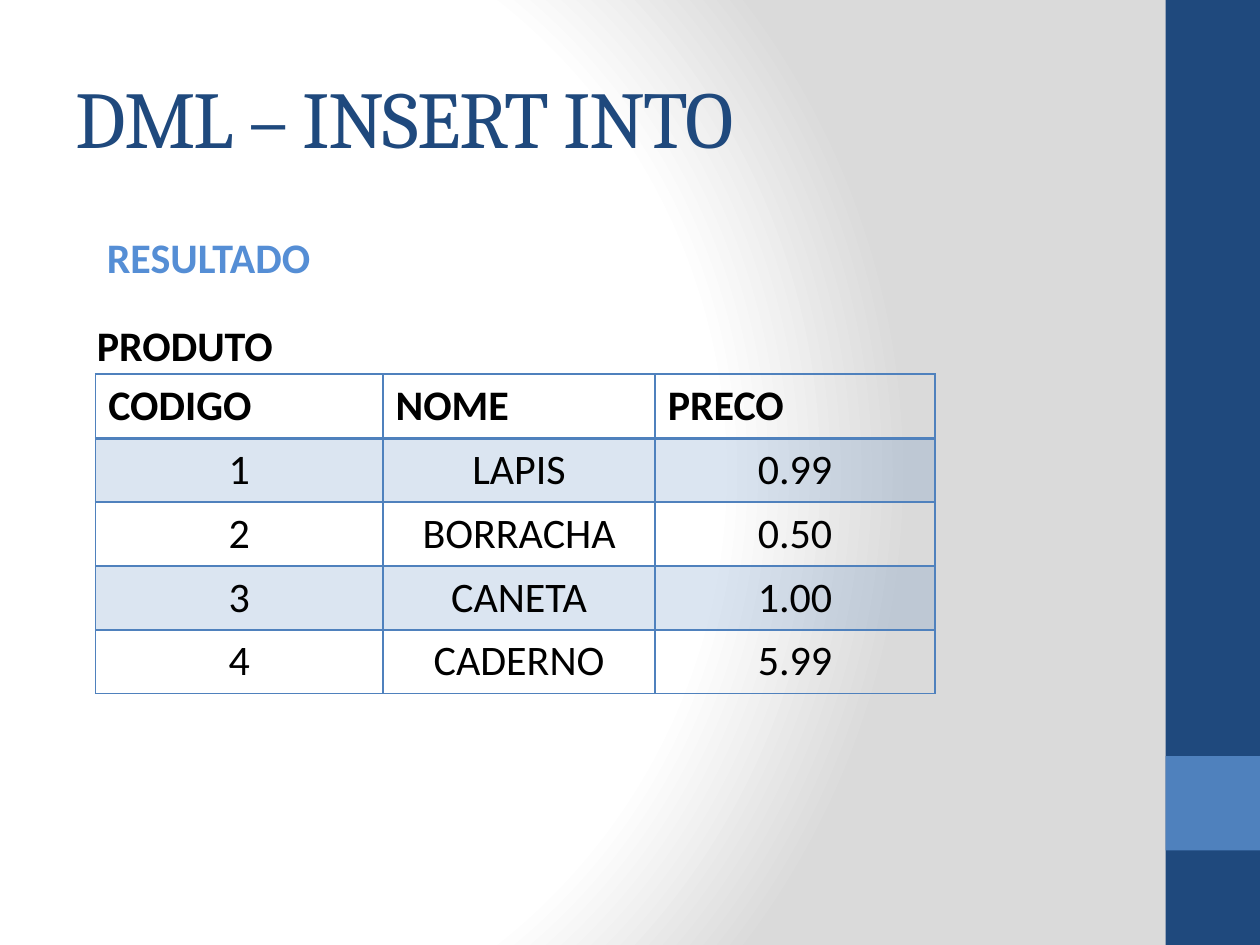
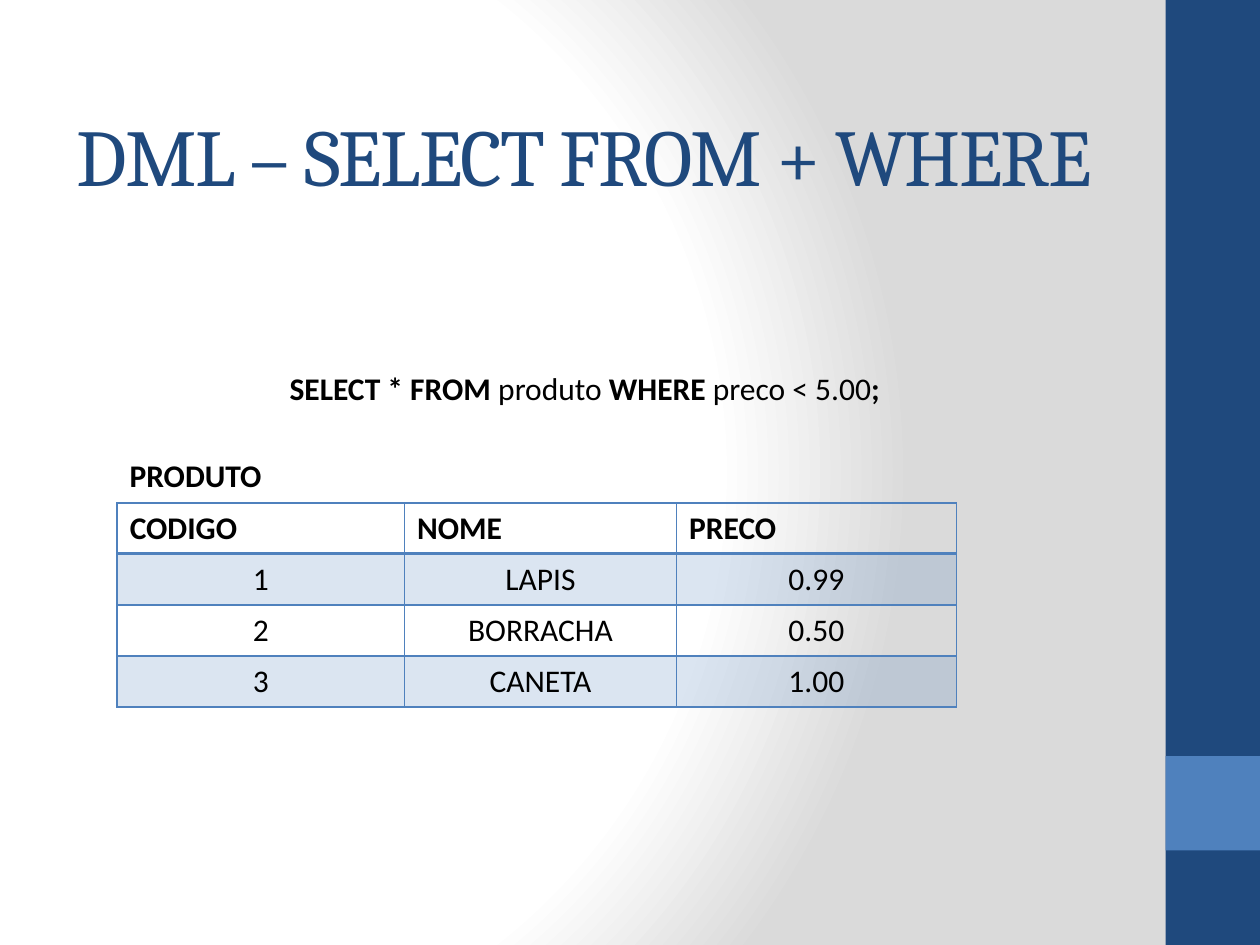
from dataclasses import dataclass

from lxml import etree
from pptx import Presentation
from pptx import util as u
from pptx.dml.color import RGBColor
from pptx.enum import shapes, text
from pptx.oxml import ns, parse_xml

A = ns.nsdecls("a")


@dataclass
class Theme:
    navy: str = "1F497D"
    blue: str = "4F81BD"
    sky: str = "558ED5"
    black: str = "000000"
    white: str = "FFFFFF"
    grey: str = "DADADA"
    heading: str = "Cambria"
    body: str = "Calibri"
    title_size: int = 46
    large: int = 24
    small: int = 18
    band_alpha: int = 20000


theme = Theme()


def write(p, parts, size, colour=theme.black, name=theme.body):
    for words, bold in parts:
        r = p.add_run()
        r.text = words
        for key, value in {"size": u.Pt(size), "name": name, "bold": bold}.items():
            setattr(r.font, key, value)
        r.font.color.rgb = RGBColor.from_string(colour)


def border(side, width):
    return parse_xml(
        f'<a:{side} {A} w="{u.Pt(width)}"><a:solidFill>'
        f'<a:srgbClr val="{theme.blue}"/></a:solidFill></a:{side}>'
    )


header = ["CODIGO", "NOME", "PRECO"]
products = [
    ["1", "LAPIS", "0.99"],
    ["2", "BORRACHA", "0.50"],
    ["3", "CANETA", "1.00"],
    ["4", "CADERNO", "5.99"],
]
query = [
    ("SELECT * FROM ", True),
    ("produto", False),
    (" WHERE ", True),
    ("preco < 5.00", False),
    (";", True),
]
justify, left = text.PP_ALIGN.JUSTIFY, text.PP_ALIGN.LEFT
columns = [2.28, 2.16, 2.22]
slides = [
    {
        "title": "DML – INSERT INTO",
        "title_at": (0.5, 0.3),
        "size": theme.large,
        "table_at": (0.76, 2.97),
        "row_height": 0.5,
        "rows": products,
        "texts": [
            ((0.67, 2.49, 6.85, 0.5), [("PRODUTO", True)], theme.black, justify, True),
            ((0.75, 1.79, 1.83, 0.5), [("RESULTADO", True)], theme.sky, justify, False),
        ],
    },
    {
        "title": "DML – SELECT FROM + WHERE",
        "title_at": (0.51, 0.6),
        "size": theme.small,
        "table_at": (0.93, 3.99),
        "row_height": 0.4,
        "rows": products[:3],
        "texts": [
            ((0.93, 3.57, 6.85, 0.4), [("PRODUTO", True)], theme.black, justify, True),
            ((2.2, 2.88, 5.83, 0.4), query, theme.black, left, True),
        ],
    },
]

prs = Presentation()
prs.slide_width, prs.slide_height = u.Inches(10), u.Inches(7.5)
master = prs.slide_master
layout = prs.slide_layouts.get_by_name("Title Only")

master.background.fill.solid()
bg = master.element.find(".//" + ns.qn("p:bgPr"))
stops = "".join(
    f'<a:gs pos="{pos * 1000}"><a:srgbClr val="{colour}"/></a:gs>'
    for pos, colour in [(0, theme.white), (75, theme.white), (100, theme.grey)]
)
bg[0] = parse_xml(
    f'<a:gradFill {A} rotWithShape="1"><a:gsLst>{stops}</a:gsLst><a:path path="circle">'
    '<a:fillToRect l="20000" t="50000" r="100000" b="50000"/></a:path></a:gradFill>'
)

for index, content in enumerate(slides):
    s = prs.slides.add_slide(layout)

    if index == 0:
        bands = [(0, 7.5, theme.navy), (6, 0.75, theme.blue)]
        for number, (top, height, colour) in enumerate(bands):
            sp = s.shapes.add_shape(
                shapes.MSO_SHAPE.RECTANGLE,
                u.Inches(9.25), u.Inches(top), u.Inches(0.75), u.Inches(height),
            )
            sp.shadow.inherit = False
            sp.fill.solid()
            sp.fill.fore_color.rgb = RGBColor.from_string(colour)
            sp.line.fill.background()
            sp.element.nvSpPr.cNvPr.set("id", str(20 + number))
            master.shapes.element.insert(2 + number, sp.element)

    title = s.shapes.title
    box = (*content["title_at"], 8.33, 1.25)
    for key, value in zip(("left", "top", "width", "height"), box):
        setattr(title, key, u.Inches(value))
    tf = title.text_frame
    frame = {
        "vertical_anchor": text.MSO_ANCHOR.MIDDLE,
        "auto_size": text.MSO_AUTO_SIZE.NONE,
        "word_wrap": True,
    }
    for key, value in frame.items():
        setattr(tf, key, value)
    p = tf.paragraphs[0]
    p.alignment = left
    write(p, [(content["title"], False)], theme.title_size, theme.navy, theme.heading)
    p.runs[0].font.size = u.Pt(theme.title_size)
    p.runs[0].font._element.set("spc", "-100")

    rows = [header] + content["rows"]
    table = s.shapes.add_table(
        len(rows), len(columns),
        *map(u.Inches, content["table_at"]),
        u.Inches(sum(columns)), u.Inches(content["row_height"] * len(rows)),
    ).table
    table.horz_banding = False
    for column, width in zip(table.columns, columns):
        column.width = u.Inches(width)
    for i, values in enumerate(rows):
        for j, value in enumerate(values):
            cell = table.cell(i, j)
            p = cell.text_frame.paragraphs[0]
            p.alignment = text.PP_ALIGN.CENTER if i else left
            write(p, [(value, i == 0)], content["size"])
            if i % 2:
                cell.fill.solid()
                cell.fill.fore_color.rgb = RGBColor.from_string(theme.blue)
            else:
                cell.fill.background()
            tc = cell._tc.get_or_add_tcPr()
            for colour in tc.iter(ns.qn("a:srgbClr")):
                etree.SubElement(colour, ns.qn("a:alpha"), val=str(theme.band_alpha))
            widths = {"lnL": 1, "lnR": 1, "lnT": 2 if i == 1 else 1, "lnB": 1 if i else 2}
            for order, (side, width) in enumerate(widths.items()):
                tc.insert(order, border(side, width))

    for box, parts, colour, align, wrap in content["texts"]:
        tf = s.shapes.add_textbox(*map(u.Inches, box)).text_frame
        tf.word_wrap = wrap
        tf.auto_size = text.MSO_AUTO_SIZE.SHAPE_TO_FIT_TEXT
        p = tf.paragraphs[0]
        p.alignment = align
        write(p, parts, content["size"], colour)

prs.save("out.pptx")
